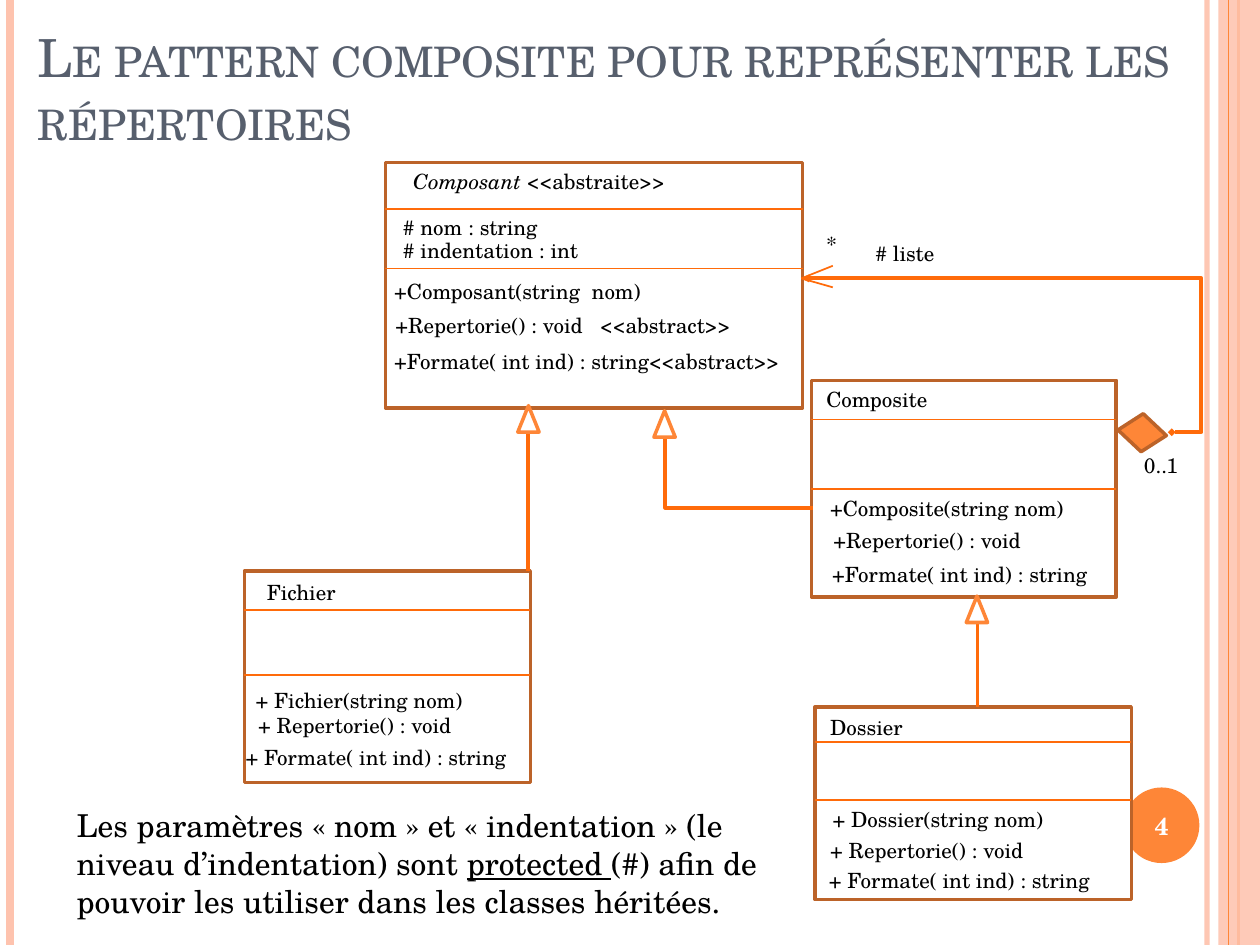
from lxml.etree import SubElement
from pptx import Presentation
from pptx.dml.color import RGBColor
from pptx.enum.shapes import MSO_CONNECTOR as Link, MSO_SHAPE as Shape
from pptx.enum.text import MSO_ANCHOR as Anchor, MSO_AUTO_SIZE as AutoSize, PP_ALIGN as Align
from pptx.oxml.ns import qn
from pptx.util import Pt

COLORS = {
    "text": "000000", "title": "575F6D", "white": "FFFFFF", "band": "FEC3AE",
    "accent": "FE8637", "border": "BC6329", "link": "FF6B0A",
}
FONT = "TeX Gyre Schola"


def rgb(name):
    return RGBColor.from_string(COLORS[name])


def add_run(paragraph, text, size=12, color="text", bold=False, italic=False,
            underline=False, small_caps=False):
    run = paragraph.add_run()
    run.text = text
    font = run.font
    font.name, font.size = FONT, Pt(size)
    font.bold, font.italic, font.underline = bold, italic, underline
    font.color.rgb = rgb(color)
    if small_caps:
        run._r.get_or_add_rPr().set("cap", "small")


def set_alpha(element, percent):
    color = next(element.iter(qn("a:srgbClr")))
    SubElement(color, qn("a:alpha")).set("val", str(percent * 1000))


class Diagram:
    def __init__(self, slide):
        self.slide = slide
        self.shapes = slide.shapes

    def title(self, text, left, top, width, height):
        title = self.shapes.title
        title.left, title.top, title.width, title.height = map(Pt, (left, top, width, height))
        frame = title.text_frame
        frame.auto_size, frame.vertical_anchor = AutoSize.NONE, Anchor.BOTTOM
        frame.paragraphs[0].alignment = Align.LEFT
        add_run(frame.paragraphs[0], text, size=30, color="title", small_caps=True)

    def label(self, runs, left, top, width, height=19.4, tab=None):
        frame = self.shapes.add_textbox(*map(Pt, (left, top, width, height))).text_frame
        frame.word_wrap = True
        paragraph = frame.paragraphs[0]
        if tab:
            stops = SubElement(paragraph._p.get_or_add_pPr(), qn("a:tabLst"))
            SubElement(stops, qn("a:tab"), pos=str(Pt(tab)), algn="l")
        for text, style in runs:
            add_run(paragraph, text, **style)

    def shape(self, kind, left, top, width, height, fill, line=None, rotation=0):
        shape = self.shapes.add_shape(kind, *map(Pt, (left, top, width, height)))
        shape.shadow.inherit = False
        shape.rotation = rotation
        shape.fill.solid()
        shape.fill.fore_color.rgb = rgb(fill)
        if line:
            shape.line.color.rgb, shape.line.width = rgb(line), Pt(2)
        else:
            shape.line.fill.background()
        return shape

    def link(self, start, end, width=1.0, color="link", kind=Link.STRAIGHT, head=None, tail=None):
        link = self.shapes.add_connector(kind, *map(Pt, (*start, *end)))
        link.line.color.rgb, link.line.width = rgb(color), Pt(width)
        outline = link.line._get_or_add_ln()
        for tag, arrow in (("a:headEnd", head), ("a:tailEnd", tail)):
            if arrow:
                SubElement(outline, qn(tag), type=arrow, w="sm", len="sm")
        SubElement(link._element.spPr, qn("a:effectLst"))
        return link

    def elbow(self, start, end, preset, bend=None, **style):
        link = self.link(start, end, kind=Link.ELBOW, **style)
        geometry = link._element.spPr.find(qn("a:prstGeom"))
        geometry.set("prst", preset)
        if bend is not None:
            guides = geometry.find(qn("a:avLst"))
            if guides is None:
                guides = SubElement(geometry, qn("a:avLst"))
            SubElement(guides, qn("a:gd"), name="adj1", fmla=f"val {round(bend * 100000)}")

    def class_box(self, left, top, width, height):
        self.shape(Shape.RECTANGLE, left, top, width, height, "white", "border")

    def class_content(self, left, width, dividers, rows, row_width):
        for y in dividers:
            self.link((left, y), (left + width, y))
        for text, x, y in rows:
            self.label([(text, {})], x, y, row_width, tab=117 if "\t" in text else None)

    def page_badge(self, number):
        badge = self.shape(Shape.OVAL, 642.2, 450, 43.2, 43.2, "accent")
        frame = badge.text_frame
        frame.margin_left = frame.margin_right = 0
        frame.vertical_anchor = Anchor.MIDDLE
        frame.paragraphs[0].alignment = Align.CENTER
        add_run(frame.paragraphs[0], number, size=14, color="white", bold=True)


CLASSES = [
    ((220.3, 92.9, 238.3, 140.4), (119.5, 153.4), 258, [
        ("# nom : string", 223.2, 118.8),
        ("# indentation : int", 223.2, 132.5),
        ("+Composant(string  nom)", 218.2, 155.5),
        ("+Repertorie() : void\t<<abstract>>", 218.9, 175),
        ("+Formate( int ind) : string<<abstract>>", 218.2, 195.8),
    ]),
    ((139.7, 326.2, 163.4, 121), (348.5, 385.9), 181, [
        ("Fichier", 145.4, 327.6),
        ("+ Fichier(string nom)", 139, 389.5),
        ("+ Repertorie() : void", 140.4, 403.9),
        ("+ Formate( int ind) : string", 133.2, 421.9),
    ]),
    ((463.7, 217.4, 174.2, 123.8), (239.8, 279.4), 174, [
        ("Composite", 465.1, 217.4),
        ("+Composite(string nom)", 467.3, 279.4),
        ("+Repertorie() : void", 469.2, 298.1),
        ("+Formate( int ind) : string", 468.5, 317.5),
    ]),
    ((465.8, 403.9, 180.7, 110.2), (424.1, 457.2), 177, [
        ("Dossier", 467.3, 404.6),
        ("+ Dossier(string nom)", 468.7, 457.2),
        ("+ Repertorie() : void", 467.3, 475.2),
        ("+ Formate( int ind) : string", 466.6, 492.5),
    ]),
]


def main():
    deck = Presentation()
    deck.slide_width, deck.slide_height = Pt(720), Pt(540)
    diagram = Diagram(deck.slides.add_slide(deck.slide_layouts[5]))

    diagram.title("Le pattern composite pour représenter les répertoires", 14.4, 0, 674.6, 90)
    for x, width, color, alpha in ((689.8, 3, "band", 93), (5.8, 4.5, "band", 100),
                                   (707.8, 1.5, "accent", 100)):
        stripe = diagram.link((x, 0), (x, 540), width, color)
        set_alpha(stripe._element.spPr, alpha)
    side_band = diagram.shape(Shape.RECTANGLE, 696.2, 0, 23.8, 540, "band")
    set_alpha(side_band._element.spPr, 87)
    diagram.link((702, 0), (702, 540), 0.75, "accent")
    diagram.page_badge("4")

    for bounds, *_ in CLASSES:
        diagram.class_box(*bounds)

    diagram.link((301.7, 326.2), (301.7, 231.8), 2.25, tail="triangle")
    diagram.elbow((464.4, 290.2), (380.2, 234.7), "bentConnector2", width=2.25, tail="triangle")
    diagram.link((558.7, 403.9), (558.7, 340.6), 1.5, tail="triangle")
    diagram.elbow((669.6, 247), (457.9, 159.1), "bentConnector3", bend=-0.08, width=2.25,
                  head="diamond", tail="triangle")
    diagram.shape(Shape.PARALLELOGRAM, 641.5, 239, 22.3, 16.6, "accent", "border", 43.3)
    for x, y in ((295.9, 231.8), (373.7, 234.7), (552.2, 340.6)):
        diagram.shape(Shape.ISOSCELES_TRIANGLE, x, y, 12.2, 15.1, "white", "accent")
    for y in (151.9, 164.2):
        diagram.link((457.9, 159.1), (475.9, y))

    diagram.label([("Composant", {"italic": True}), (" <<abstraite>>", {})], 229, 92.9, 222.5)
    for (left, _, width, _), dividers, row_width, rows in CLASSES:
        diagram.class_content(left, width, dividers, rows, row_width)
    for text, x, y, width in (("*", 465.1, 128.9, 30.2), ("0..1", 646.6, 254.9, 42.5),
                              ("# liste", 493.2, 133.9, 170.6)):
        diagram.label([(text, {})], x, y, width)

    note = {"size": 18}
    diagram.label([
        ("Les paramètres « nom » et « indentation » (le niveau d’indentation) sont ", note),
        ("protected ", {**note, "underline": True}),
        ("(#) afin de pouvoir les utiliser dans les classes héritées.", note),
    ], 36.7, 457.2, 406.8, 94.3)
    deck.save("out.pptx")


if __name__ == "__main__":
    main()
